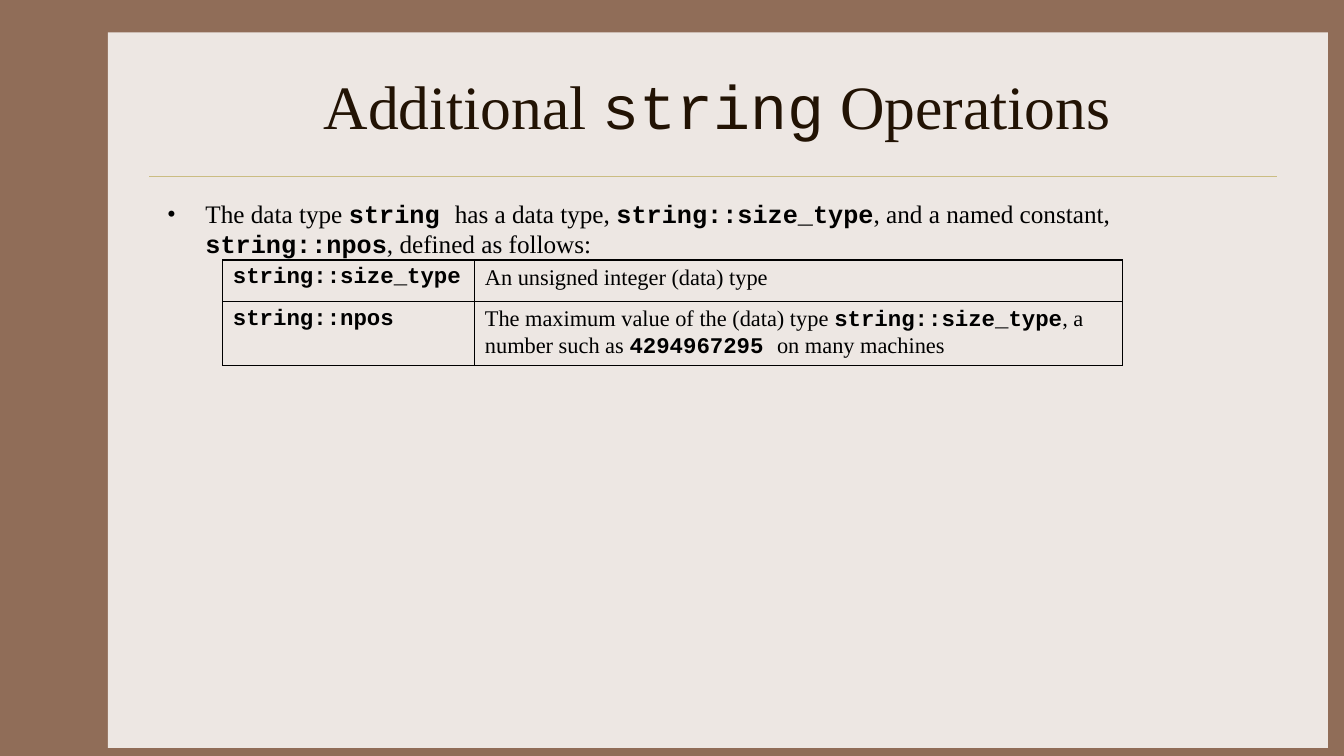
from lxml.etree import SubElement, Element
from pptx import Presentation
from pptx.dml.color import RGBColor
from pptx.enum.shapes import MSO_CONNECTOR as Connector, MSO_SHAPE as Shape
from pptx.enum.text import MSO_ANCHOR as Anchor, PP_ALIGN as Align
from pptx.oxml.ns import qn
from pptx.util import Inches, Pt

BROWN = RGBColor(0x90, 0x6D, 0x58)
PAPER = RGBColor(0xED, 0xE7, 0xE3)
GOLD = RGBColor(0xCB, 0xBD, 0x83)
DARK = RGBColor(0x22, 0x13, 0x04)
BLACK = RGBColor(0, 0, 0)
PROSE, CODE = "Times New Roman", "Courier New"


class SlideBuilder:
    def __init__(self, deck, background):
        self.deck = deck
        self.page = deck.slides.add_slide(deck.slide_layouts[6])
        self.page.background.fill.solid()
        self.page.background.fill.fore_color.rgb = background

    def across(self, percent):
        return round(self.deck.slide_width * percent / 100)

    def down(self, percent):
        return round(self.deck.slide_height * percent / 100)

    def frame(self, left, top, width, height):
        return self.across(left), self.down(top), self.across(width), self.down(height)

    def panel(self, area, color):
        panel = self.page.shapes.add_shape(Shape.RECTANGLE, *self.frame(*area))
        panel.shadow.inherit = False
        panel.fill.solid()
        panel.fill.fore_color.rgb = color
        panel.line.fill.background()

    def rule(self, left, right, top, color):
        rule = self.page.shapes.add_connector(
            Connector.STRAIGHT, *self.frame(left, top, right, top))
        rule.line.color.rgb = color
        rule.line.width = Pt(0.25)
        SubElement(rule._element.spPr, qn("a:effectLst"))

    def add_runs(self, para, runs, size, color, bold_code=True):
        for text, font in runs:
            span = para.add_run()
            span.text = text
            span.font.name = font
            span.font.size = Pt(size)
            span.font.color.rgb = color
            span.font.bold = bold_code and font == CODE

    def text(self, area, anchor=Anchor.TOP):
        box = self.page.shapes.add_textbox(*self.frame(*area))
        box.text_frame.word_wrap = True
        box.text_frame.vertical_anchor = anchor
        return box.text_frame.paragraphs[0]

    def title(self, area, runs):
        para = self.text(area, Anchor.MIDDLE)
        para.alignment = Align.CENTER
        self.add_runs(para, runs, 44, DARK, bold_code=False)

    def bullet(self, area, runs):
        para = self.text(area)
        para.space_before = Pt(3.6)
        self.add_runs(para, runs, 18, BLACK)
        properties = para._p.get_or_add_pPr()
        indent = Inches(0.38)
        properties.set("marL", str(indent))
        properties.set("indent", str(-indent))
        SubElement(properties, qn("a:buFont"), typeface=PROSE)
        SubElement(properties, qn("a:buChar"), char="•")

    def border(self, cell):
        properties = cell._tc.get_or_add_tcPr()
        for place, side in enumerate(("a:lnL", "a:lnR", "a:lnT", "a:lnB")):
            line = Element(qn(side), w=str(Pt(1)))
            fill = SubElement(line, qn("a:solidFill"))
            SubElement(fill, qn("a:srgbClr"), val=str(BLACK))
            properties.insert(place, line)

    def table(self, left, top, widths, heights, rows):
        area = self.frame(left, top, sum(widths), sum(heights))
        table = self.page.shapes.add_table(len(rows), len(widths), *area).table
        table.first_row = table.horz_banding = False
        for column, width in zip(table.columns, widths):
            column.width = self.across(width)
        for row, height, contents in zip(table.rows, heights, rows):
            row.height = self.down(height)
            for cell, runs in zip(row.cells, contents):
                cell.fill.background()
                self.border(cell)
                self.add_runs(cell.text_frame.paragraphs[0], runs, 16, BLACK)


deck = Presentation()
deck.slide_width, deck.slide_height = Inches(13.33), Inches(7.5)
slide = SlideBuilder(deck, BROWN)
slide.panel((8.03, 4.27, 90.77, 94.67), PAPER)
slide.rule(11.1, 95.05, 23.33, GOLD)
slide.title((11.7, 5.6, 83.35, 16.67), [
    ("Additional ", PROSE), ("string", CODE), (" Operations", PROSE)])
slide.bullet((11.7, 25.6, 83.35, 60), [
    ("The data type ", PROSE), ("string ", CODE),
    ("has a data type, ", PROSE), ("string::size_type", CODE),
    (", and a named constant,", PROSE), (" string::npos", CODE),
    (", defined as follows:", PROSE)])
slide.table(16.58, 34.4, (18.75, 48.16), (5.47, 8.4), [
    [[("string::size_type", CODE)],
     [("An unsigned integer (data) type", PROSE)]],
    [[("string::npos", CODE)],
     [("The maximum value of the (data) type ", PROSE),
      ("string::size_type", CODE), (", a number such as ", PROSE),
      ("4294967295 ", CODE), ("on many machines", PROSE)]]])
deck.save("out.pptx")
